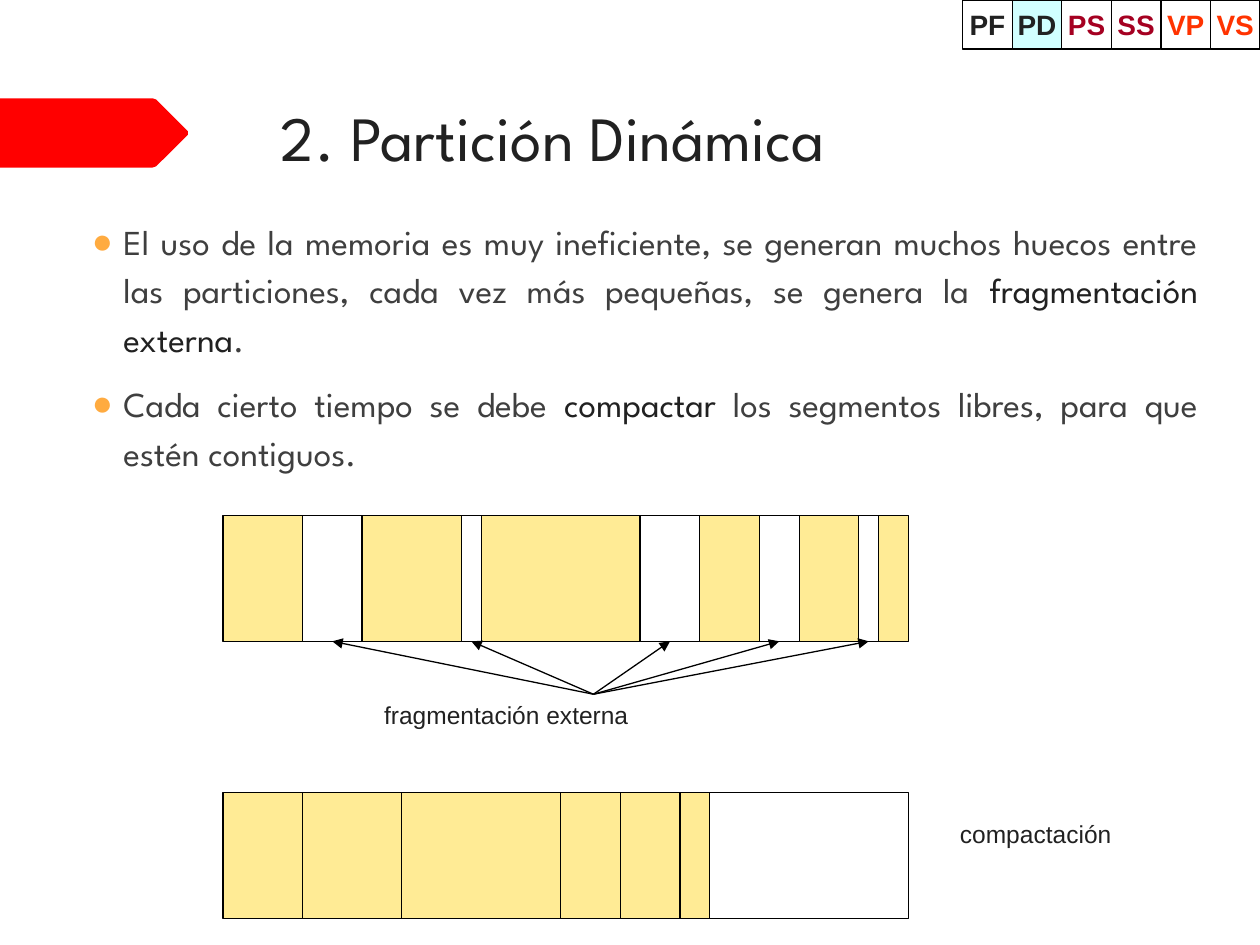
from lxml import etree
from pptx import Presentation
from pptx.dml.color import RGBColor
from pptx.enum.shapes import MSO_CONNECTOR, MSO_SHAPE
from pptx.enum.text import MSO_ANCHOR, MSO_AUTO_SIZE, PP_ALIGN
from pptx.oxml.ns import qn
from pptx.util import Inches, Pt

RECTANGLE = MSO_SHAPE.RECTANGLE
STRAIGHT = MSO_CONNECTOR.STRAIGHT
TOP, MIDDLE = MSO_ANCHOR.TOP, MSO_ANCHOR.MIDDLE
LEFT, CENTER, JUSTIFY = PP_ALIGN.LEFT, PP_ALIGN.CENTER, PP_ALIGN.JUSTIFY

# Content
TITLE = "2. Partición Dinámica"
# Each bullet is a list of (text, colour name)
BULLETS = [
    [("El uso de la memoria es muy ineficiente, se generan muchos huecos entre las "
      "particiones, cada vez más pequeñas, se genera la ", "body"),
     ("fragmentación externa", "dark"), (".", "body")],
    [("Cada cierto tiempo se debe ", "body"), ("compactar", "dark"),
     (" los segmentos libres, para que estén contiguos.", "body")],
]
# Memory segments: (relative size, state)
FRAGMENTED = [(4, "used"), (3, "free"), (5, "used"), (1, "free"), (8, "used"),
              (3, "free"), (3, "used"), (2, "free"), (3, "used"), (1, "free"),
              (1.5, "used")]
USED = [segment for segment in FRAGMENTED if segment[1] == "used"]
FREE_SIZE = sum(size for size, state in FRAGMENTED if state == "free")
COMPACTED = USED + [(FREE_SIZE, "free")]
# Section tags: (text, text colour, fill)
TAGS = [("PF", "dark", None), ("PD", "dark", "current"), ("PS", "crimson", "free"),
        ("SS", "crimson", "free"), ("VP", "orange", "free"), ("VS", "orange", "free")]

THEME = {
    "colors": {"dark": "212121", "body": "3F3F3F", "bullet": "FFAB40", "ribbon": "FF0000",
               "used": "FFEB95", "free": "FFFFFF", "current": "D1FFFF", "line": "000000",
               "crimson": "A50021", "orange": "FF3300"},
    "sizes": {"title": 36, "body": 20, "tag": 16, "label": 14},
    "heading_font": "League Spartan",
    "label_font": "Arial",
    "line_width": 0.75,
}

# Layout, in inches
BAR_LEFT, BAR_WIDTH, BAR_HEIGHT = 1.77, 5.44, 1
FRAGMENTED_TOP, COMPACTED_TOP = 4.09, 6.29
ARROW_ORIGIN = (4.71, 5.51)
TAGS_LEFT, TAG_HEIGHT = 7.64, 0.39
SLIDE_WIDTH, SLIDE_HEIGHT = 10, 7.5
RIBBON = [(0, 0.78), (1.21, 0.78), (1.24, 0.79), (1.49, 1.04), (1.49, 1.07),
          (1.24, 1.32), (1.21, 1.33), (0, 1.33)]


def color(name):
    return RGBColor.from_string(THEME["colors"][name])


def box(left, top, width, height):
    return [Inches(value) for value in (left, top, width, height)]


def add_run(paragraph, text, size="label", ink="dark", font="label_font", bold=False):
    run = paragraph.add_run()
    run.text = text
    run.font.name = THEME[font]
    run.font.size = Pt(THEME["sizes"][size])
    run.font.color.rgb = color(ink)
    run.font.bold = bold


def format_placeholder(shape, place):
    shape.left, shape.top, shape.width, shape.height = box(*place)
    frame = shape.text_frame
    frame.auto_size = MSO_AUTO_SIZE.NONE
    frame.vertical_anchor = TOP
    frame.margin_left = frame.margin_right = Inches(0.1)
    frame.margin_top = frame.margin_bottom = Inches(0.1)
    return frame


def set_bullet(paragraph):
    properties = paragraph._p.get_or_add_pPr()
    properties.set("marL", str(Inches(0.38)))
    properties.set("indent", str(Inches(-0.25)))
    bullet_color = etree.SubElement(properties, qn("a:buClr"))
    etree.SubElement(bullet_color, qn("a:srgbClr"), val=THEME["colors"]["bullet"])
    etree.SubElement(properties, qn("a:buChar"), char="●")


def add_rectangle(slide, place, fill):
    shape = slide.shapes.add_shape(RECTANGLE, *box(*place))
    shape.shadow.inherit = False
    if fill:
        shape.fill.solid()
        shape.fill.fore_color.rgb = color(fill)
    else:
        shape.fill.background()
    shape.line.color.rgb = color("line")
    shape.line.width = Pt(THEME["line_width"])
    return shape


def add_memory_bar(slide, segments, top):
    """Draw the segments side by side and return the centres of the free ones."""
    unit = BAR_WIDTH / sum(size for size, _ in segments)
    left, free_centers = BAR_LEFT, []
    for size, state in segments:
        width = size * unit
        add_rectangle(slide, (left, top, width, BAR_HEIGHT), state)
        if state == "free":
            free_centers.append(left + width / 2)
        left += width
    return free_centers


def add_arrow(slide, start, end):
    points = [Inches(value) for value in (*start, *end)]
    arrow = slide.shapes.add_connector(STRAIGHT, *points)
    arrow.line.color.rgb = color("line")
    arrow.line.width = Pt(THEME["line_width"])
    etree.SubElement(arrow.line._get_or_add_ln(), qn("a:tailEnd"), type="triangle")
    etree.SubElement(arrow._element.spPr, qn("a:effectLst"))


def add_label(slide, text, place):
    frame = slide.shapes.add_textbox(*box(*place)).text_frame
    frame.word_wrap = True
    add_run(frame.paragraphs[0], text)


def main():
    presentation = Presentation()
    presentation.slide_width = Inches(SLIDE_WIDTH)
    presentation.slide_height = Inches(SLIDE_HEIGHT)
    slide = presentation.slides.add_slide(presentation.slide_layouts[1])

    # Red ribbon
    points = [(Inches(x), Inches(y)) for x, y in RIBBON]
    builder = slide.shapes.build_freeform(*points[0])
    builder.add_line_segments(points[1:], close=True)
    ribbon = builder.convert_to_shape()
    ribbon.shadow.inherit = False
    ribbon.fill.solid()
    ribbon.fill.fore_color.rgb = color("ribbon")
    ribbon.line.fill.background()

    # Title
    frame = format_placeholder(slide.shapes.title, (2.13, 0.68, 7.21, 1.4))
    frame.paragraphs[0].alignment = LEFT
    add_run(frame.paragraphs[0], TITLE, size="title", font="heading_font")

    # Bulleted text
    frame = format_placeholder(slide.placeholders[1], (0.5, 1.6, 9.11, 2.36))
    for index, parts in enumerate(BULLETS):
        paragraph = frame.add_paragraph() if index else frame.paragraphs[0]
        paragraph.alignment = JUSTIFY
        paragraph.line_spacing = 1.15
        paragraph.space_before = Pt(10 if index else 0)
        set_bullet(paragraph)
        for text, ink in parts:
            add_run(paragraph, text, size="body", ink=ink, font="heading_font")

    # Memory before and after compaction
    holes = add_memory_bar(slide, FRAGMENTED, FRAGMENTED_TOP)
    for center in holes:
        add_arrow(slide, ARROW_ORIGIN, (center, FRAGMENTED_TOP + BAR_HEIGHT))
    add_label(slide, "fragmentación externa", (2.95, 5.51, 3.52, 0.5))
    add_memory_bar(slide, COMPACTED, COMPACTED_TOP)
    add_label(slide, "compactación", (7.52, 6.45, 2.26, 0.5))

    # Section tags
    tag_width = (SLIDE_WIDTH - TAGS_LEFT) / len(TAGS)
    for index, (text, ink, fill) in enumerate(TAGS):
        place = (TAGS_LEFT + index * tag_width, 0, tag_width, TAG_HEIGHT)
        frame = add_rectangle(slide, place, fill).text_frame
        frame.word_wrap = False
        frame.vertical_anchor = MIDDLE
        frame.paragraphs[0].alignment = CENTER
        add_run(frame.paragraphs[0], text, size="tag", ink=ink, bold=True)

    presentation.save("out.pptx")


if __name__ == "__main__":
    main()
